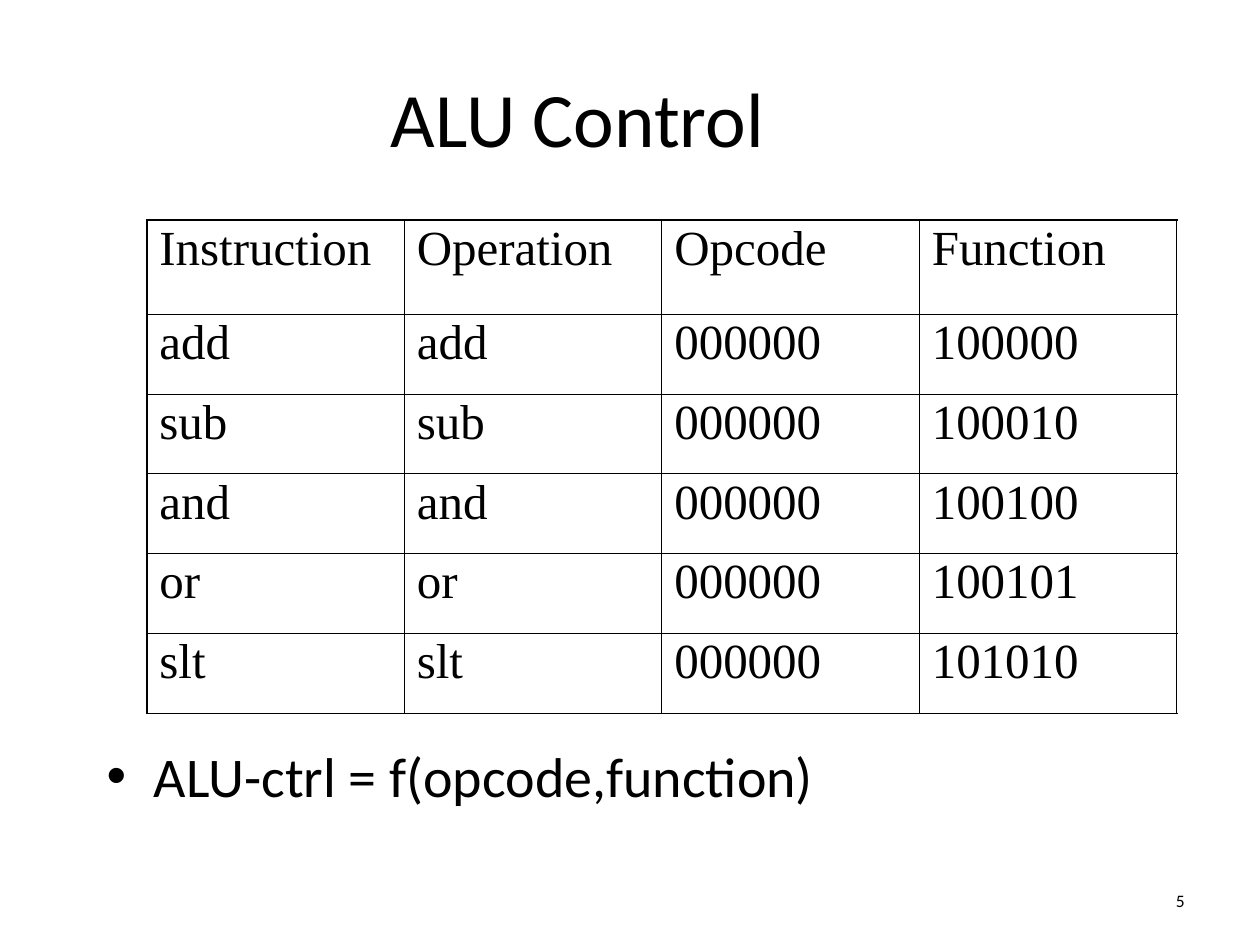
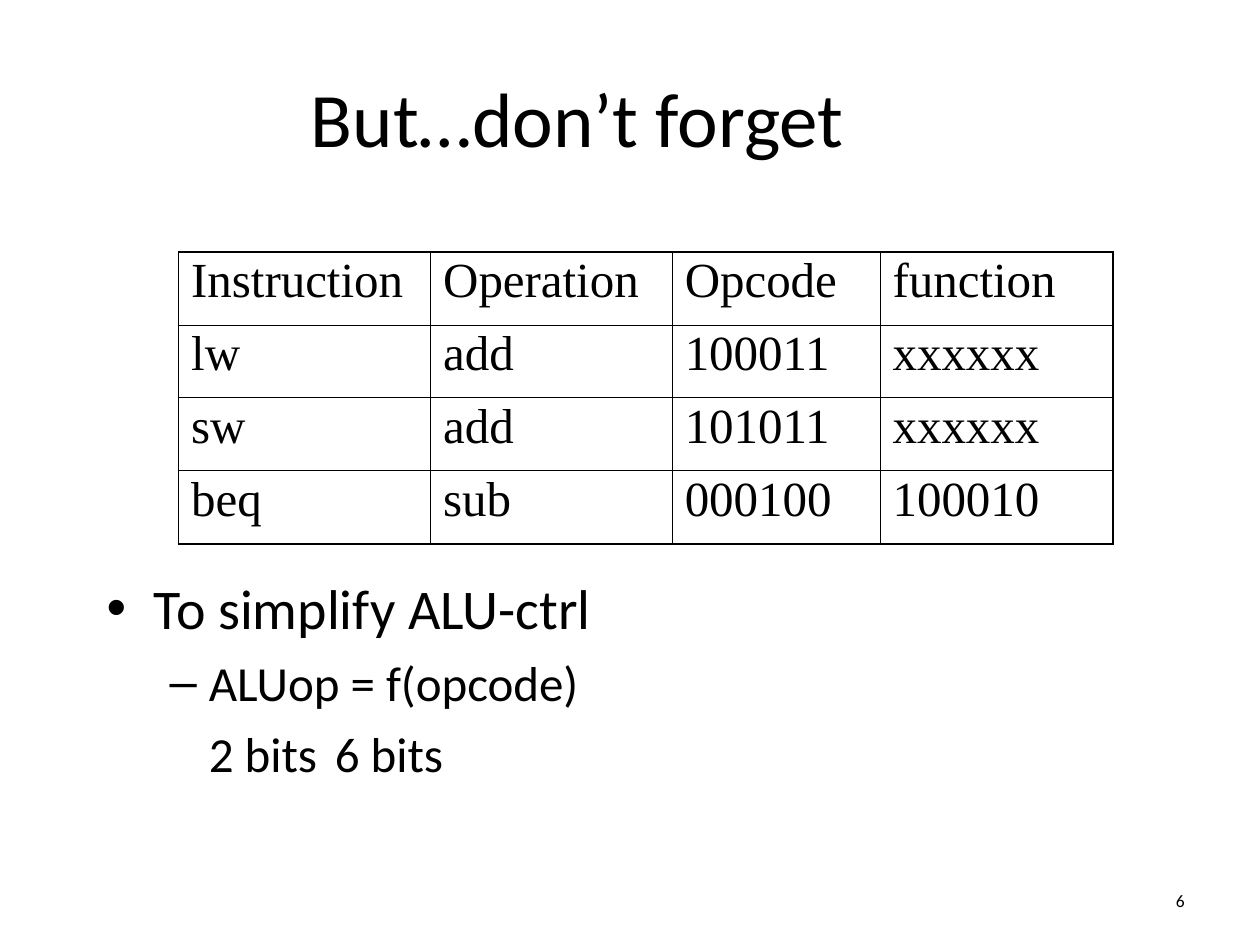
from lxml.etree import SubElement
from pptx import Presentation
from pptx.dml.color import RGBColor
from pptx.enum.text import MSO_ANCHOR, PP_ALIGN
from pptx.oxml.ns import qn
from pptx.util import Cm, Pt

INK = RGBColor(0x00, 0x00, 0x00)
HEADING_FONT = "Calibri"
TABLE_FONT = "Times New Roman"
INNER_LINE, OUTER_LINE = Pt(0.45), Pt(1.08)

TITLE_BOX = (1.27, 0.76, 20.75, 3.18)
NUMBER_BOX = (21.16, 17.65, 2.97, 1.02)

POINT = {"level": 0, "size": 32, "margin": 0.95, "hanging": 0.95, "bullet": "•", "before": 8}
SUBPOINT = {"level": 1, "size": 28, "margin": 2.06, "hanging": 0.79, "bullet": "–", "before": 7}
WIDTHS_LINE = {**SUBPOINT, "hanging": 0, "bullet": None, "tab": 5.08}

SLIDES = [
    {
        "number": "5",
        "title": "ALU Control",
        "table_at": (2.96, 4.44),
        "columns": [5.19] * 4,
        "row_heights": [1.89] + [1.61] * 5,
        "rows": [
            ("Instruction", "Operation", "Opcode", "Function"),
            ("add", "add", "000000", "100000"),
            ("sub", "sub", "000000", "100010"),
            ("and", "and", "000000", "100100"),
            ("or", "or", "000000", "100101"),
            ("slt", "slt", "000000", "101010"),
        ],
        "points_box": (1.9, 14.82, 21.59, 2.12),
        "points": [("ALU-ctrl = f(opcode,function)", POINT)],
    },
    {
        "number": "6",
        "title": "But…don’t forget",
        "table_at": (3.6, 5.08),
        "columns": [5.08, 4.87, 4.19, 4.7],
        "row_heights": [1.47] * 4,
        "rows": [
            ("Instruction", "Operation", "Opcode", "function"),
            ("lw", "add", "100011", "xxxxxx"),
            ("sw", "add", "101011", "xxxxxx"),
            ("beq", "sub", "000100", "100010"),
        ],
        "points_box": (1.9, 11.43, 21.59, 5.5),
        "points": [
            ("To simplify ALU-ctrl", POINT),
            ("ALUop = f(opcode)", SUBPOINT),
            ("2 bits\t6 bits", WIDTHS_LINE),
        ],
    },
]


def add_run(paragraph, text, size, font=HEADING_FONT):
    run = paragraph.add_run()
    run.text = text
    run.font.size = Pt(size)
    run.font.name = font
    run.font.color.rgb = INK


def add_frame(slide, box, anchor=MSO_ANCHOR.TOP):
    frame = slide.shapes.add_textbox(*map(Cm, box)).text_frame
    frame.word_wrap = True
    frame.vertical_anchor = anchor
    return frame


def add_line(slide, box, text, size, align):
    paragraph = add_frame(slide, box, MSO_ANCHOR.MIDDLE).paragraphs[0]
    paragraph.alignment = align
    add_run(paragraph, text, size)


def add_points(slide, box, points):
    frame = add_frame(slide, box)
    for index, (text, style) in enumerate(points):
        paragraph = frame.add_paragraph() if index else frame.paragraphs[0]
        paragraph.level = style["level"]
        if index:
            paragraph.space_before = Pt(style["before"])
        properties = paragraph._p.get_or_add_pPr()
        properties.set("marL", str(Cm(style["margin"])))
        properties.set("indent", str(-Cm(style["hanging"])))
        if style["bullet"]:
            SubElement(properties, qn("a:buFont"), typeface="Arial")
            SubElement(properties, qn("a:buChar"), char=style["bullet"])
        else:
            SubElement(properties, qn("a:buNone"))
        if "tab" in style:
            tabs = SubElement(properties, qn("a:tabLst"))
            SubElement(tabs, qn("a:tab"), pos=str(Cm(style["tab"])), algn="l")
        add_run(paragraph, text, style["size"])


def set_borders(cell, outer_sides):
    properties = cell._tc.get_or_add_tcPr()
    for side, is_outer in outer_sides.items():
        width = OUTER_LINE if is_outer else INNER_LINE
        line = SubElement(properties, qn(f"a:ln{side}"), w=str(width))
        fill = SubElement(line, qn("a:solidFill"))
        SubElement(fill, qn("a:srgbClr"), val=str(INK))


def add_instruction_table(slide, content):
    rows, columns = content["rows"], content["columns"]
    heights = content["row_heights"]
    box = (*content["table_at"], sum(columns), sum(heights))
    table = slide.shapes.add_table(len(rows), len(columns), *map(Cm, box)).table
    table.first_row = table.horz_banding = False
    for column, width in zip(table.columns, columns):
        column.width = Cm(width)
    for r, (row, height) in enumerate(zip(rows, heights)):
        table.rows[r].height = Cm(height)
        for c, text in enumerate(row):
            cell = table.cell(r, c)
            set_borders(cell, {"L": c == 0, "R": c == len(columns) - 1,
                               "T": r == 0, "B": r == len(rows) - 1})
            cell.fill.background()
            paragraph = cell.text_frame.paragraphs[0]
            paragraph.line_spacing = 0.9
            add_run(paragraph, text, 28, TABLE_FONT)


def main():
    deck = Presentation()
    deck.slide_width, deck.slide_height = Cm(25.4), Cm(19.05)
    for content in SLIDES:
        slide = deck.slides.add_slide(deck.slide_layouts[6])
        add_line(slide, TITLE_BOX, content["title"], 44, PP_ALIGN.CENTER)
        add_points(slide, content["points_box"], content["points"])
        add_instruction_table(slide, content)
        add_line(slide, NUMBER_BOX, content["number"], 10, PP_ALIGN.RIGHT)
    deck.save("out.pptx")


if __name__ == "__main__":
    main()
